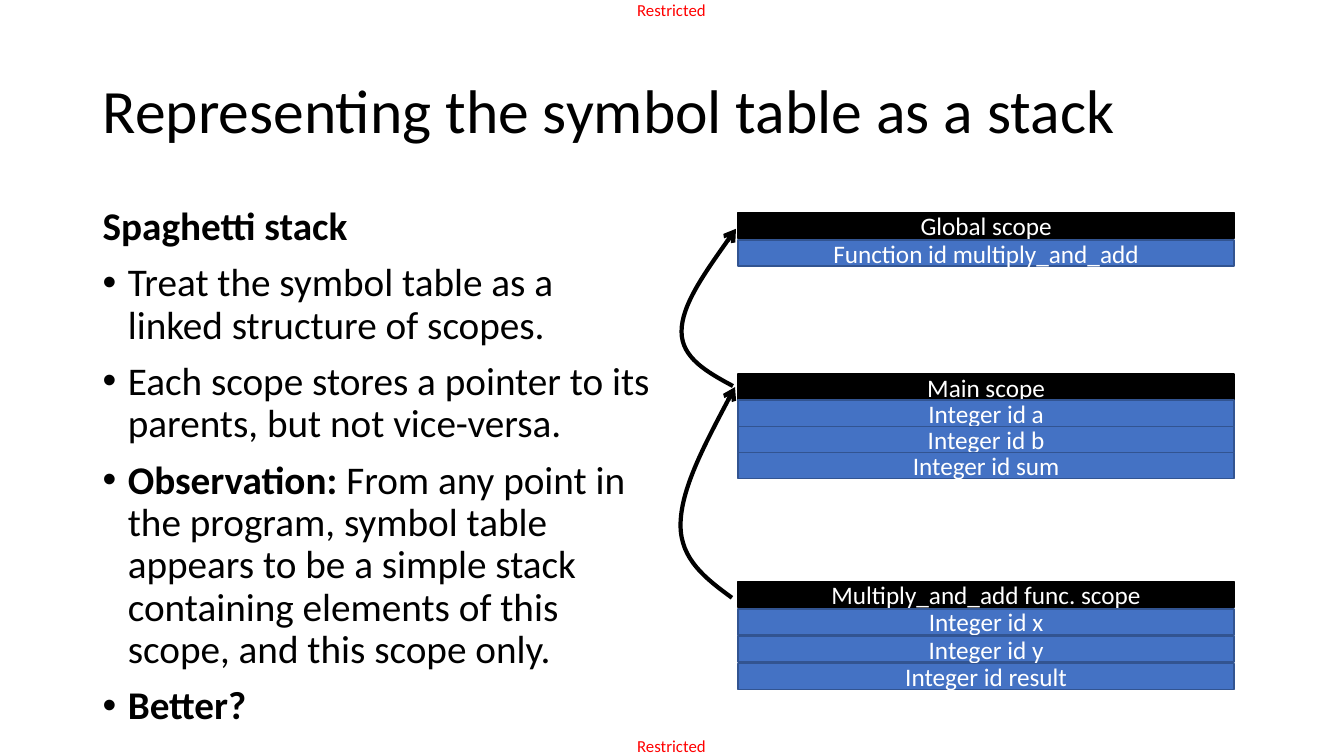
from lxml import etree
from pptx import Presentation
from pptx.dml.color import RGBColor
from pptx.enum.shapes import MSO_SHAPE
from pptx.enum.text import MSO_ANCHOR, PP_ALIGN
from pptx.oxml.ns import qn
from pptx.util import Inches, Pt

RECT = MSO_SHAPE.RECTANGLE
MIDDLE, TOP = MSO_ANCHOR.MIDDLE, MSO_ANCHOR.TOP
CENTER = PP_ALIGN.CENTER

THEME = {
    "font": "Calibri",
    "black": RGBColor(0x00, 0x00, 0x00),
    "white": RGBColor(0xFF, 0xFF, 0xFF),
    "red": RGBColor(0xFF, 0x00, 0x00),
    "blue": RGBColor(0x44, 0x72, 0xC4),
    "blue_line": RGBColor(0x32, 0x54, 0x91),
    "title": 44, "body": 28, "row": 18, "label": 12,
    "row_line": 1, "link_line": 3,
}

LABEL = "Restricted"
LABEL_TOPS = [0, 7.3]
TITLE = "Representing the symbol table as a stack"
HEADING = [("Spaghetti stack", True)]
BULLETS = [
    [("Treat the symbol table as a linked structure of scopes.", False)],
    [("Each scope stores a pointer to its parents, but not vice-versa.", False)],
    [("Observation: ", True),
     ("From any point in the program, symbol table appears to be a simple stack "
      "containing elements of this scope, and this scope only.", False)],
    [("Better?", True)],
]
SCOPES = [
    (2.11, 0.27, ["Global scope", "Function id multiply_and_add"]),
    (3.71, 0.26, ["Main scope", "Integer id a", "Integer id b", "Integer id sum"]),
    (5.77, 0.27, ["Multiply_and_add func. scope", "Integer id x", "Integer id y",
                  "Integer id result"]),
]
ROW_LEFT, ROW_WIDTH, ROW_HEIGHT = 7.32, 4.92, 0.26
PARENT_LINKS = [
    [(7.27, 3.83), (7.01, 3.69), (6.76, 3.55), (6.76, 3.29),
     (6.76, 3.03), (7.03, 2.65), (7.3, 2.27)],
    [(7.26, 5.93), (7, 5.74), (6.75, 5.55), (6.75, 5.21),
     (6.75, 4.86), (7.02, 4.35), (7.29, 3.84)],
]


def style_runs(p, size, color):
    for r in p.runs:
        r.font.name = THEME["font"]
        r.font.size = Pt(THEME[size])
        r.font.color.rgb = THEME[color]


def add_text(s, box, text, size, color, anchor=TOP):
    tf = s.shapes.add_textbox(*map(Inches, box)).text_frame
    tf.word_wrap = True
    tf.vertical_anchor = anchor
    tf.text = text
    style_runs(tf.paragraphs[0], size, color)
    return tf


def add_label(s, top):
    tf = add_text(s, (6.32, top, 0.73, 0.2), LABEL, "label", "red")
    tf.word_wrap = False
    tf.margin_left = tf.margin_right = tf.margin_top = tf.margin_bottom = 0


def add_bullet(p):
    pPr = p._p.get_or_add_pPr()
    pPr.set("marL", str(Inches(0.25)))
    pPr.set("indent", str(Inches(-0.25)))
    etree.SubElement(pPr, qn("a:buFont")).set("typeface", "Arial")
    etree.SubElement(pPr, qn("a:buChar")).set("char", "•")


def add_body(s):
    tf = add_text(s, (0.92, 2, 5.67, 5.5), "", "body", "black")
    for i, parts in enumerate([HEADING] + BULLETS):
        p = tf.add_paragraph() if i else tf.paragraphs[0]
        p.line_spacing = 0.9
        p.space_before = Pt(10)
        for text, bold in parts:
            r = p.add_run()
            r.text = text
            r.font.bold = bold
        style_runs(p, "body", "black")
        if i:
            add_bullet(p)


def add_row(s, top, text, fill, line):
    box = (ROW_LEFT, top, ROW_WIDTH, ROW_HEIGHT)
    sp = s.shapes.add_shape(RECT, *map(Inches, box))
    sp.shadow.inherit = False
    sp.fill.solid()
    sp.fill.fore_color.rgb = THEME[fill]
    sp.line.color.rgb = THEME[line]
    sp.line.width = Pt(THEME["row_line"])
    tf = sp.text_frame
    tf.word_wrap = True
    tf.vertical_anchor = MIDDLE
    tf.text = text
    p = tf.paragraphs[0]
    p.alignment = CENTER
    style_runs(p, "row", "white")


def add_link(s, points):
    start, *rest = [(Inches(x), Inches(y)) for x, y in points]
    builder = s.shapes.build_freeform(*start)
    builder.add_line_segments(rest, close=False)
    sp = builder.convert_to_shape()
    sp.shadow.inherit = False
    sp.fill.background()
    sp.line.color.rgb = THEME["black"]
    sp.line.width = Pt(THEME["link_line"])
    segments = list(sp._element.iter(qn("a:lnTo")))
    for i in range(0, len(segments), 3):
        curve = etree.SubElement(segments[i].getparent(), qn("a:cubicBezTo"))
        for segment in segments[i:i + 3]:
            curve.append(segment[0])
            segment.getparent().remove(segment)
    tail = etree.SubElement(sp.line._get_or_add_ln(), qn("a:tailEnd"))
    tail.set("type", "arrow")


def main():
    prs = Presentation()
    prs.slide_width, prs.slide_height = Inches(13.33), Inches(7.5)
    s = prs.slides.add_slide(prs.slide_layouts[6])
    for top in LABEL_TOPS:
        add_label(s, top)
    tf = add_text(s, (0.92, 0.4, 11.5, 1.45), TITLE, "title", "black", MIDDLE)
    tf.paragraphs[0].line_spacing = 0.9
    add_body(s)
    for top, pitch, rows in SCOPES:
        for i, text in enumerate(rows):
            fill, line = ("blue", "blue_line") if i else ("black", "black")
            add_row(s, top + i * pitch, text, fill, line)
    for points in PARENT_LINKS:
        add_link(s, points)
    prs.save("out.pptx")


if __name__ == "__main__":
    main()
